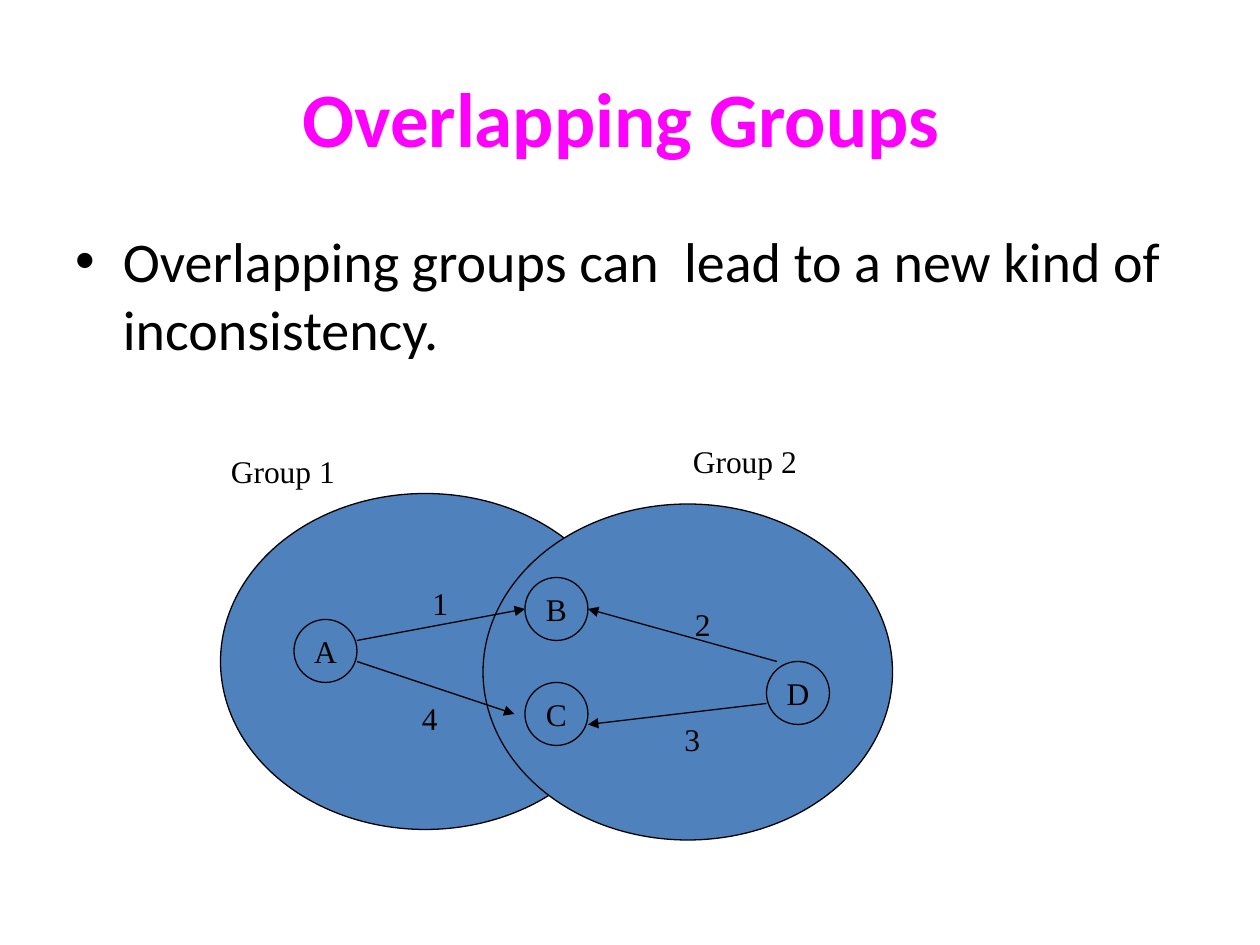
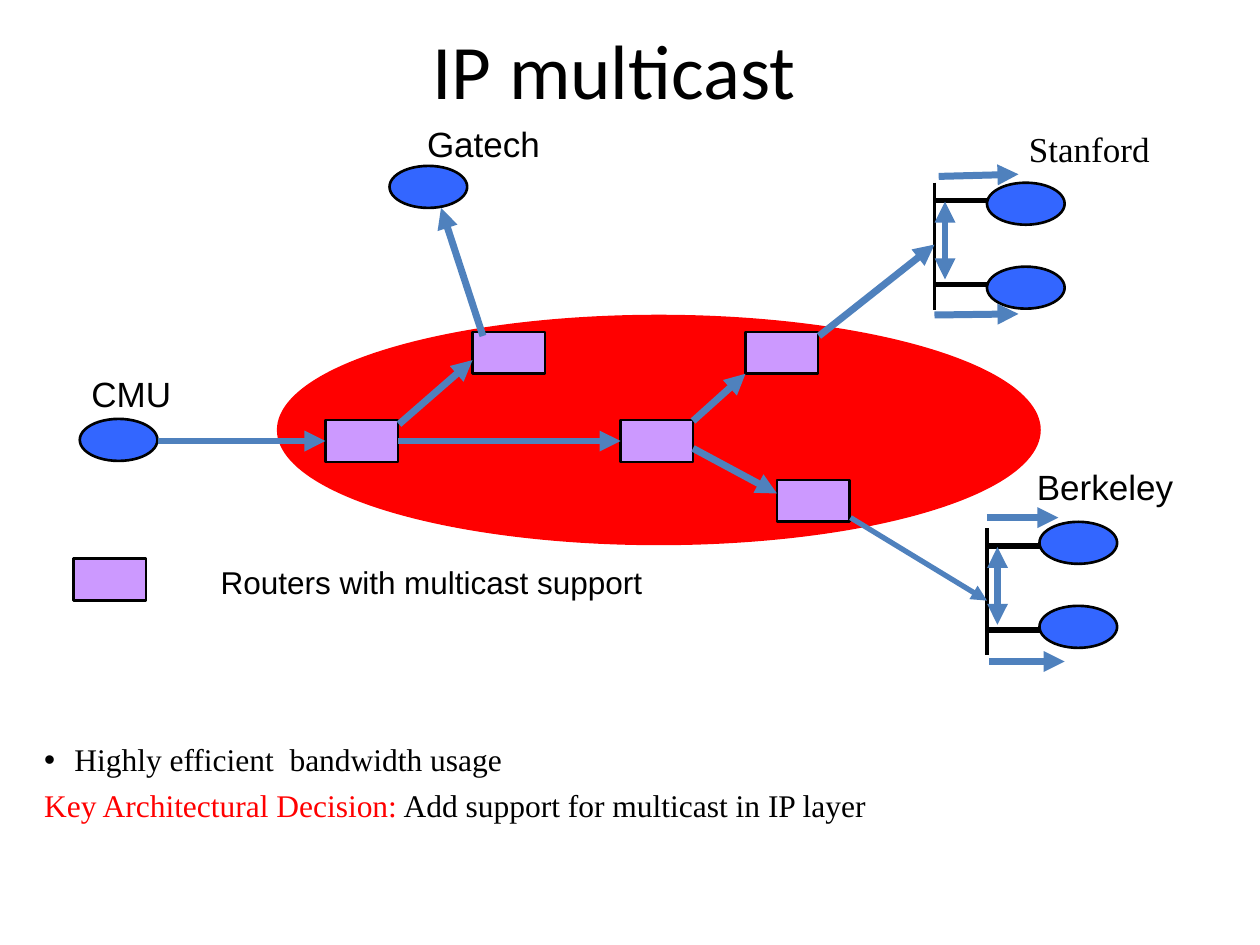
"""Build two slides on group communication: overlapping groups and IP multicast."""
from lxml import etree
from pptx import Presentation
from pptx.dml.color import RGBColor
from pptx.enum.shapes import MSO_CONNECTOR, MSO_SHAPE
from pptx.enum.text import MSO_ANCHOR, MSO_AUTO_SIZE, PP_ALIGN
from pptx.oxml.ns import qn
from pptx.util import Inches, Pt

CIRCLE, ELLIPSE, RECT = MSO_SHAPE.FLOWCHART_CONNECTOR, MSO_SHAPE.OVAL, MSO_SHAPE.RECTANGLE
STRAIGHT = MSO_CONNECTOR.STRAIGHT
TOP, MIDDLE = MSO_ANCHOR.TOP, MSO_ANCHOR.MIDDLE
LEFT, CENTER = PP_ALIGN.LEFT, PP_ALIGN.CENTER
LEFT_SIDE, RIGHT_SIDE = 1, 3

CELLS_PER_INCH = 12
BLACK, BLUE, MAGENTA, RED = "000000", "4F81BD", "FF00FF", "FF0000"
ROUTER_FILL, HOST_FILL = "CC99FF", "3366FF"
SANS, SERIF, HEADING = "Arial", "Times New Roman", "Calibri"

# Positions are (column, row) on a grid of twelve cells to the inch.
GROUP_SIZE, MEMBER_SIZE = (39, 32), (6, 6)
GROUPS = [(21, 47), (46, 48)]
MEMBERS = {"A": (28, 59), "B": (50, 55), "C": (50, 65), "D": (73, 63)}
MESSAGES = [((34, 61), (50, 58)), ((34, 63), (49, 68)),
            ((74, 63), (56, 58)), ((73, 67), (56, 69))]
GROUP_LABELS = [("1", 40, 55, 5), ("2", 65, 57, 5), ("3", 64, 68, 5), ("4", 39, 66, 5),
                ("Group 1", 20.8, 42.5, 15), ("Group 2", 64.8, 41.5, 15)]

CLOUD = (26.5, 30.1, 72.5, 21.7)
ROUTER_SIZE, HOST_SIZE = (6.9, 4), (7.4, 4)
ROUTERS = {"ingress": (31, 40), "core": (59.1, 40), "Gatech edge": (45, 31.6),
           "Stanford edge": (71, 31.6), "Berkeley edge": (74, 45.7), "legend": (7, 53.2)}
HOSTS = [(37.1, 15.8), (7.6, 39.9)]
LANS = [{"spine": (89, 17.4), "host_shift": 0}, {"spine": (94, 50.3), "host_shift": -0.6}]
LAN_LENGTH, STUB_LENGTH, STUB_ROWS, HOST_STEP = 12.1, 5.4, (1.7, 9.7), 8
FLOWS = [((38, 40.4), (45, 34.3)), ((46, 32), (42, 19.8)), ((66, 40.1), (71, 35.6)),
         ((66, 42.7), (74, 47)), ((78, 32), (89, 23.3)), ((89.4, 16.8), (97, 16.6)),
         ((89, 30), (97, 29.9)), ((94, 49.3), (100.8, 49.3)), ((94.2, 63), (101.4, 63))]
BERKELEY_FLOW = ((81, 49.3), (94, 57.2))
CMU_EXIT = (15, 42)
SITE_LABELS = [("Berkeley", 95.6, 43.7, 19.3, SANS, 20), ("Gatech", 37.5, 11, 17.1, SANS, 20),
               ("Stanford", 94.8, 11.5, 17.9, SERIF, 20), ("CMU", 6, 34.8, 13, SANS, 20),
               ("Routers with multicast support", 11.8, 53, 58.6, SANS, 18)]
DECISIONS = [[("Highly efficient  bandwidth usage", BLACK)],
             [("Key Architectural Decision:", RED),
              (" Add support for multicast in IP layer", BLACK)]]


def color(hex_string):
    return RGBColor.from_string(hex_string)


def cells(*lengths):
    return [Inches(length / CELLS_PER_INCH) for length in lengths]


def style(paragraph, font, size, ink=BLACK, align=LEFT, before=0, bold=False):
    paragraph.alignment = align
    paragraph.space_before = Pt(before)
    paragraph.font.name, paragraph.font.size = font, Pt(size)
    paragraph.font.bold = bold
    paragraph.font.color.rgb = color(ink)


def place(shape, left, top, width, height):
    shape.left, shape.top, shape.width, shape.height = cells(left, top, width, height)


def add_titled_slide(prs, title, title_box, body_box, ink=BLACK, bold=False):
    slide = prs.slides.add_slide(prs.slide_layouts[1])
    heading, body = slide.placeholders
    place(heading, *title_box)
    heading.text_frame.text = title
    heading.text_frame.vertical_anchor = MIDDLE
    style(heading.text_frame.paragraphs[0], HEADING, 44, ink, CENTER, bold=bold)
    place(body, *body_box)
    body.text_frame.auto_size = MSO_AUTO_SIZE.NONE
    body.text_frame.vertical_anchor = TOP
    return slide, body.text_frame


def add_figure(slide, kind, position, size, fill, line=BLACK, weight=1.5):
    figure = slide.shapes.add_shape(kind, *cells(*position, *size))
    figure.shadow.inherit = False
    figure.fill.solid()
    figure.fill.fore_color.rgb = color(fill)
    figure.line.color.rgb = color(line)
    figure.line.width = Pt(weight)
    return figure


def add_line(slide, start, end, ink, weight, ends=()):
    line = slide.shapes.add_connector(STRAIGHT, *cells(*start, *end))
    line.line.color.rgb = color(ink)
    line.line.width = Pt(weight)
    properties = line._element.spPr
    for end_tag in ends:
        etree.SubElement(properties.find(qn("a:ln")), qn(end_tag), type="triangle")
    etree.SubElement(properties, qn("a:effectLst"))
    return line


def add_arrow(slide, start, end, ink=BLUE, weight=4):
    return add_line(slide, start, end, ink, weight, ["a:tailEnd"])


def add_label(slide, text, left, top, width, font, size, **paragraph_style):
    height = 4.8 if size == 18 else 5.3
    frame = slide.shapes.add_textbox(*cells(left, top, width, height)).text_frame
    frame.word_wrap = True
    frame.text = text
    style(frame.paragraphs[0], font, size, **paragraph_style)
    return frame


def build_overlapping_groups(prs):
    slide, body = add_titled_slide(prs, "Overlapping Groups ", (6, 3.6, 108, 15),
                                   (6, 21, 108, 59.4), MAGENTA, True)
    body.text = "Overlapping groups can  lead to a new kind of inconsistency."
    style(body.paragraphs[0], HEADING, 32, before=8)
    for group in GROUPS:
        add_figure(slide, CIRCLE, group, GROUP_SIZE, BLUE, weight=0.75)
    for member, position in MEMBERS.items():
        frame = add_figure(slide, CIRCLE, position, MEMBER_SIZE, BLUE, weight=0.75).text_frame
        frame.word_wrap = False
        frame.vertical_anchor = MIDDLE
        frame.text = member
        style(frame.paragraphs[0], SERIF, 18, align=CENTER)
    for sender, receiver in MESSAGES:
        add_arrow(slide, sender, receiver, BLACK, 0.75)
    for label in GROUP_LABELS:
        add_label(slide, *label, SERIF, 18)


def add_lan(slide, spine, host_shift):
    column, row = spine
    add_line(slide, spine, (column, row + LAN_LENGTH), BLACK, 2.25)
    for index, offset in enumerate(STUB_ROWS):
        add_line(slide, (column, row + offset), (column + STUB_LENGTH, row + offset), BLACK, 3)
        add_figure(slide, ELLIPSE, (column + 5, row + host_shift + index * HOST_STEP),
                   HOST_SIZE, HOST_FILL)
    add_line(slide, (column + 1, row + 1.8), (column + 1, row + 9.2), BLUE, 4,
             ["a:headEnd", "a:tailEnd"])


def build_ip_multicast(prs):
    slide, body = add_titled_slide(prs, "IP multicast", (0, 0, 117, 13), (3, 69.9, 114, 13.5))
    for index, runs in enumerate(DECISIONS):
        paragraph = body.paragraphs[0] if index == 0 else body.add_paragraph()
        hanging = Inches(0.24) if index == 0 else 0
        properties = paragraph._p.get_or_add_pPr()
        properties.set("marL", str(hanging))
        properties.set("indent", str(-hanging))
        if index:
            etree.SubElement(properties, qn("a:buNone"))
        style(paragraph, SERIF, 18, before=4.5)
        for text, ink in runs:
            run = paragraph.add_run()
            run.text = text
            run.font.color.rgb = color(ink)

    add_figure(slide, ELLIPSE, CLOUD[:2], CLOUD[2:], RED, RED)
    routers = {name: add_figure(slide, RECT, position, ROUTER_SIZE, ROUTER_FILL)
               for name, position in ROUTERS.items()}
    for host in HOSTS:
        add_figure(slide, ELLIPSE, host, HOST_SIZE, HOST_FILL)
    for lan in LANS:
        add_lan(slide, **lan)

    add_arrow(slide, *BERKELEY_FLOW, weight=3)
    for start, end in FLOWS:
        add_arrow(slide, start, end)
    from_cmu = add_arrow(slide, CMU_EXIT, ROUTERS["ingress"])
    from_cmu.end_connect(routers["ingress"], LEFT_SIDE)
    to_core = add_arrow(slide, ROUTERS["ingress"], ROUTERS["core"])
    to_core.begin_connect(routers["ingress"], RIGHT_SIDE)
    to_core.end_connect(routers["core"], LEFT_SIDE)

    for label in SITE_LABELS:
        frame = add_label(slide, *label, align=CENTER, before=5)
        frame.vertical_anchor = MIDDLE


def main():
    prs = Presentation()
    prs.slide_width, prs.slide_height = Inches(10), Inches(7.5)
    build_overlapping_groups(prs)
    build_ip_multicast(prs)
    prs.save("out.pptx")


if __name__ == "__main__":
    main()
